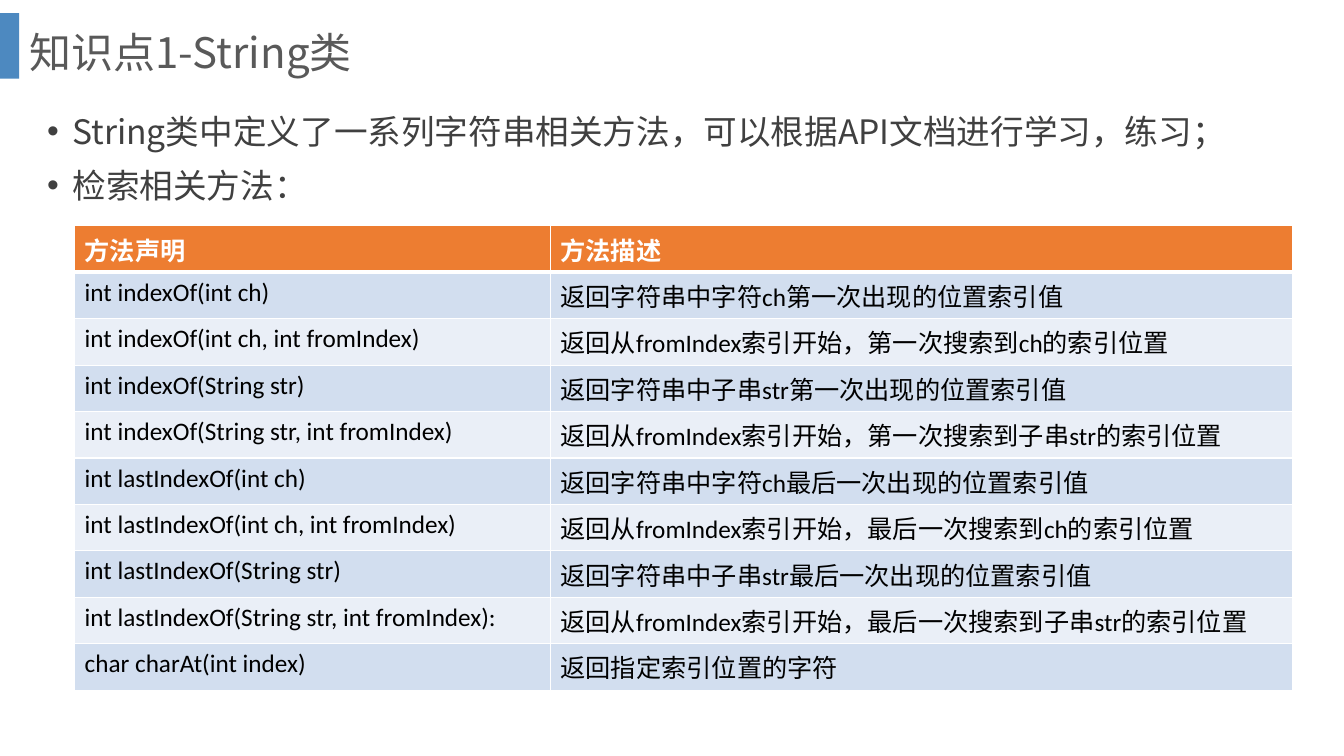
"""Build the slide on the search methods of the String class."""
from lxml import etree
from pptx import Presentation
from pptx.dml.color import RGBColor
from pptx.enum.shapes import MSO_SHAPE
from pptx.enum.text import MSO_ANCHOR
from pptx.oxml.ns import qn
from pptx.util import Pt

RECTANGLE = MSO_SHAPE.RECTANGLE
TOP, MIDDLE = MSO_ANCHOR.TOP, MSO_ANCHOR.MIDDLE
PX = 9144
COLORS = {
    "accent": "2E75B6", "title": "595959", "body": "404040", "header": "ED7D31",
    "odd": "D2DEEF", "even": "EAEFF7", "white": "FFFFFF", "black": "000000",
}
CJK_FONT, TABLE_FONT = "Noto Sans CJK SC", "Calibri"

TITLE = "知识点1-String类"
BULLETS = [
    "String类中定义了一系列字符串相关方法，可以根据API文档进行学习，练习；",
    "检索相关方法：",
]
METHODS = [
    ("方法声明", "方法描述"),
    ("int indexOf(int ch)", "返回字符串中字符ch第一次出现的位置索引值"),
    ("int indexOf(int ch, int fromIndex)", "返回从fromIndex索引开始，第一次搜索到ch的索引位置"),
    ("int indexOf(String str)", "返回字符串中子串str第一次出现的位置索引值"),
    ("int indexOf(String str, int fromIndex)", "返回从fromIndex索引开始，第一次搜索到子串str的索引位置"),
    ("int lastIndexOf(int ch)", "返回字符串中字符ch最后一次出现的位置索引值"),
    ("int lastIndexOf(int ch, int fromIndex)", "返回从fromIndex索引开始，最后一次搜索到ch的索引位置"),
    ("int lastIndexOf(String str)", "返回字符串中子串str最后一次出现的位置索引值"),
    ("int lastIndexOf(String str, int fromIndex):", "返回从fromIndex索引开始，最后一次搜索到子串str的索引位置"),
    ("char charAt(int index)", "返回指定索引位置的字符"),
]
COLUMN_WIDTHS = (472, 736)
TABLE_HEIGHT = 461


def color(name):
    return RGBColor.from_string(COLORS[name])


def box(*lengths):
    return [length * PX for length in lengths]


def write(frame, lines, *, size, ink, font=CJK_FONT, bold=False, bullet=False,
          line_spacing=None, gap=0):
    for index, line in enumerate(lines):
        paragraph = frame.add_paragraph() if index else frame.paragraphs[0]
        if bullet:
            properties = paragraph._p.get_or_add_pPr()
            properties.set("marL", str(25 * PX))
            properties.set("indent", str(-25 * PX))
            etree.SubElement(properties, qn("a:buFont")).set("typeface", "Arial")
            etree.SubElement(properties, qn("a:buChar")).set("char", "•")
        if line_spacing:
            paragraph.line_spacing = line_spacing
        if index:
            paragraph.space_before = Pt(gap)
        run = paragraph.add_run()
        run.text = line
        run.font.size, run.font.bold, run.font.name = Pt(size), bold, font
        run.font.color.rgb = color(ink)
        east_asian = etree.SubElement(run._r.get_or_add_rPr(), qn("a:ea"))
        east_asian.set("typeface", CJK_FONT)


def add_text(slide, area, lines, *, anchor=TOP, margin_top=5, **text_format):
    frame = slide.shapes.add_textbox(*box(*area)).text_frame
    frame.word_wrap = True
    frame.vertical_anchor = anchor
    frame.margin_top = margin_top * PX
    write(frame, lines, **text_format)


def add_accent(slide):
    bar = slide.shapes.add_shape(RECTANGLE, *box(0, 13, 19, 65))
    bar.shadow.inherit = False
    bar.line.fill.background()
    bar.fill.solid()
    bar.fill.fore_color.rgb = color("accent")
    fill_color = bar._element.spPr.find(qn("a:solidFill"))[0]
    etree.SubElement(fill_color, qn("a:alpha")).set("val", "85000")


def set_borders(cell, **widths):
    properties = cell._tc.get_or_add_tcPr()
    for position, side in enumerate("LRTB"):
        line = etree.Element(qn(f"a:ln{side}"), w=str(Pt(widths.get(side, 1))))
        fill = etree.SubElement(line, qn("a:solidFill"))
        etree.SubElement(fill, qn("a:srgbClr")).set("val", COLORS["white"])
        properties.insert(position, line)


def add_methods(slide):
    area = box(74, 224, sum(COLUMN_WIDTHS), TABLE_HEIGHT)
    table = slide.shapes.add_table(len(METHODS), len(COLUMN_WIDTHS), *area).table
    for column, width in zip(table.columns, COLUMN_WIDTHS):
        column.width = width * PX
    for row_index, row in enumerate(METHODS):
        is_header = row_index == 0
        shade = "header" if is_header else ("even", "odd")[row_index % 2]
        for column_index, text in enumerate(row):
            cell = table.cell(row_index, column_index)
            cell.fill.solid()
            cell.fill.fore_color.rgb = color(shade)
            set_borders(cell, B=3 if is_header else 1, T=3 if row_index == 1 else 1)
            write(cell.text_frame, [text], size=18, font=TABLE_FONT, bold=is_header,
                  ink="white" if is_header else "black")


def main():
    presentation = Presentation()
    presentation.slide_width, presentation.slide_height = box(1333, 750)
    slide = presentation.slides.add_slide(presentation.slide_layouts[6])
    add_accent(slide)
    add_text(slide, (37, 85, 1205, 137), BULLETS, margin_top=25, size=24,
             ink="body", bullet=True, gap=10)
    add_methods(slide)
    add_text(slide, (19, 0, 1266, 109), [TITLE], anchor=MIDDLE, size=30,
             ink="title", line_spacing=0.9)
    presentation.save("out.pptx")


if __name__ == "__main__":
    main()
